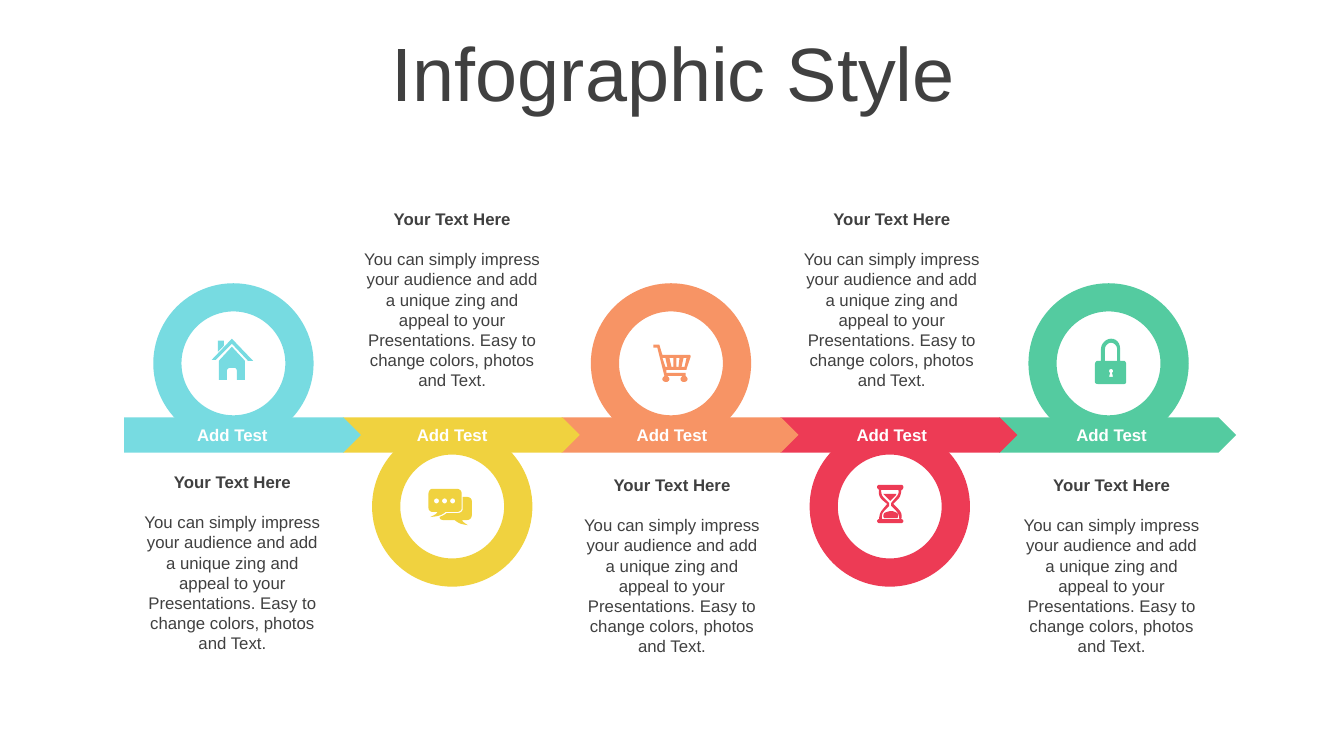
from math import cos, pi, sin

from pptx import Presentation
from pptx.dml.color import RGBColor
from pptx.enum.shapes import MSO_SHAPE
from pptx.enum.text import MSO_ANCHOR, MSO_AUTO_SIZE, PP_ALIGN
from pptx.util import Pt

PLATE, DONUT = MSO_SHAPE.PENTAGON, MSO_SHAPE.DONUT
MIDDLE, CENTER = MSO_ANCHOR.MIDDLE, PP_ALIGN.CENTER
GROW = MSO_AUTO_SIZE.SHAPE_TO_FIT_TEXT

PX = 9144
FONT = "Arial"
DARK = RGBColor(0x40, 0x40, 0x40)
WHITE = RGBColor(0xFF, 0xFF, 0xFF)
TEAL = RGBColor(0x77, 0xDB, 0xE1)
YELLOW = RGBColor(0xF0, 0xD2, 0x3F)
ORANGE = RGBColor(0xF7, 0x94, 0x65)
RED = RGBColor(0xED, 0x3B, 0x55)
GREEN = RGBColor(0x54, 0xCB, 0xA0)

HEAD = "Your Text Here"
BODY = ("You can simply impress your audience and add a unique zing and appeal to your "
        "Presentations. Easy to change colors, photos and Text.")


def ring(x, y, r):
    """Return the points of a circle."""
    return [(x + r * cos(k * pi / 8), y + r * sin(k * pi / 8)) for k in range(16)]


def trace(outline):
    """Turn (x, y) lines and six-number curves into points in EMU."""
    points = []
    for part in outline:
        if len(part) == 2:
            points.append(part)
            continue
        x0, y0 = points[-1]
        x1, y1, x2, y2, x3, y3 = part
        for k in range(1, 7):
            t = k / 6
            a, b, c, d = (1 - t) ** 3, 3 * t * (1 - t) ** 2, 3 * t * t * (1 - t), t ** 3
            points.append((a * x0 + b * x1 + c * x2 + d * x3, a * y0 + b * y1 + c * y2 + d * y3))
    return [(x * PX, y * PX) for x, y in points]


HOUSE = [
    [(230, 344), (243, 358), (243, 377), (235, 377), (235, 368), (235, 367, 234, 365, 233, 365),
     (228, 365), (226, 365, 225, 367, 225, 368), (225, 377), (217, 377), (217, 358)],
    [(216, 338), (222, 338), (222, 343), (216, 349)],
    [(230, 336), (251, 358), (246, 358), (230, 341), (214, 357), (210, 357)],
]
CHAT = [ring(x, 497, 2.5) for x in (433, 441, 449)] + [
    [(459, 493), (463, 493), (466, 493, 468, 495, 468, 497), (468, 511),
     (468, 514, 466, 516, 463, 516), (458, 516), (459, 517, 459, 518, 464, 521),
     (456, 520, 455, 519, 451, 516), (440, 516), (438, 516, 436, 515, 436, 513),
     (438, 512, 441, 511, 443, 509), (454, 509), (457, 509, 459, 507, 459, 505)],
    [(429, 485), (453, 485), (456, 485, 458, 487, 458, 490), (458, 504),
     (458, 506, 456, 508, 453, 508), (442, 508), (437, 512, 435, 512, 427, 513),
     (432, 510, 432, 511, 434, 508), (429, 508), (427, 508, 425, 506, 425, 504),
     (425, 490), (425, 487, 427, 485, 429, 485)],
]
CART = [
    [(678, 355), (676, 364), (679, 364), (681, 355)],
    [(671, 355), (671, 364), (673, 364), (674, 355)],
    [(664, 355), (666, 364), (668, 364), (668, 355)],
    [(657, 355), (660, 364), (662, 364), (660, 355)],
    [(654, 342), (657, 352), (683, 352), (685, 352, 685, 353, 685, 354), (681, 366),
     (681, 367, 681, 367, 680, 367), (661, 367), (661, 370), (680, 370), (680, 373),
     (681, 374, 682, 375, 682, 376), (682, 378, 680, 379, 678, 379),
     (677, 379, 675, 378, 675, 376), (675, 375, 676, 374, 677, 373), (662, 373),
     (663, 374, 664, 375, 664, 376), (664, 378, 662, 379, 661, 379),
     (659, 379, 657, 378, 657, 376), (657, 375, 658, 374, 659, 373), (652, 345),
     (648, 345), (648, 342)],
]
GLASS = [
    [(884, 507), (886, 507, 888, 508, 890, 509), (891, 511, 891, 513, 890, 514), (877, 514),
     (876, 513, 876, 511, 877, 509), (879, 508, 882, 507, 884, 507)],
    [(876, 490), (889, 490), (889, 490, 889, 491, 888, 492), (883, 497), (878, 492)],
    [(874, 486), (874, 488, 874, 492, 877, 494), (882, 499), (882, 502), (877, 507),
     (875, 509, 874, 512, 875, 515), (892, 515), (892, 512, 891, 509, 889, 507), (884, 502),
     (884, 499), (889, 493), (891, 491, 892, 488, 891, 486)],
    [(872, 481), (894, 481), (895, 481, 896, 482, 896, 483), (896, 485, 895, 486, 894, 486),
     (894, 489, 893, 493, 891, 495), (886, 500), (891, 505), (894, 508, 895, 511, 894, 515),
     (895, 515, 896, 516, 896, 517), (896, 518, 895, 519, 894, 519), (872, 519),
     (871, 519, 870, 518, 870, 517), (870, 516, 871, 515, 872, 515),
     (872, 512, 873, 508, 875, 506), (880, 500), (875, 496), (872, 493, 871, 489, 872, 486),
     (871, 485, 870, 485, 870, 483), (870, 482, 871, 481, 872, 481)],
]
LOCK = [
    [(1102, 366), (1101, 366, 1100, 367, 1100, 368), (1100, 369, 1100, 369, 1101, 370),
     (1100, 374), (1104, 374), (1103, 370), (1104, 369, 1104, 369, 1104, 368),
     (1104, 367, 1103, 366, 1102, 366)],
    [(1102, 340), (1099, 340, 1096, 343, 1096, 346), (1096, 358), (1108, 358), (1108, 346),
     (1108, 343, 1105, 340, 1102, 340)],
    [(1102, 336), (1107, 336, 1111, 340, 1111, 346), (1111, 358), (1115, 358),
     (1116, 358, 1117, 360, 1117, 361), (1117, 379), (1117, 380, 1116, 381, 1115, 381),
     (1089, 381), (1087, 381, 1086, 380, 1086, 379), (1086, 361),
     (1086, 360, 1087, 358, 1089, 358), (1092, 358), (1092, 346),
     (1092, 341, 1097, 336, 1102, 336)],
]

STEPS = [(TEAL, HOUSE, 463), (YELLOW, CHAT, 202), (ORANGE, CART, 466),
         (RED, GLASS, 202), (GREEN, LOCK, 466)]


class Board:
    """Draws styled elements on the current slide."""

    def __init__(self, slide):
        self.shapes = slide.shapes

    def paint(self, shape, color):
        shape.shadow.inherit = False
        shape.fill.solid()
        shape.fill.fore_color.rgb = color
        shape.line.fill.background()

    def shape(self, kind, x, y, w, h, color):
        shape = self.shapes.add_shape(kind, x * PX, y * PX, w * PX, h * PX)
        self.paint(shape, color)
        return shape

    def icon(self, outlines, color):
        first, *rest = [trace(outline) for outline in outlines]
        pen = self.shapes.build_freeform(*first[0])
        pen.add_line_segments(first[1:])
        for points in rest:
            pen.move_to(*points[0])
            pen.add_line_segments(points[1:])
        self.paint(pen.convert_to_shape(), color)

    def text(self, words, x, y, w, h, color=DARK, size=12, bold=False):
        frame = self.shapes.add_textbox(x * PX, y * PX, w * PX, h * PX).text_frame
        frame.word_wrap = True
        frame.text = words
        line = frame.paragraphs[0]
        line.alignment = CENTER
        font = line.runs[0].font
        font.name, font.size, font.bold = FONT, Pt(size), bold
        font.color.rgb = color
        return frame

    def title(self, words):
        frame = self.text(words, 35, 37, 1266, 79, size=54)
        frame.vertical_anchor = MIDDLE
        frame.paragraphs[0].line_spacing = 0.9

    def label(self, *args, **style):
        self.text(*args, **style).auto_size = GROW


def main():
    deck = Presentation()
    deck.slide_width, deck.slide_height = 1333 * PX, 750 * PX
    board = Board(deck.slides.add_slide(deck.slide_layouts[6]))
    board.title("Infographic Style")
    for i, (color, icon, top) in reversed(list(enumerate(STEPS))):
        left = 123 + 217 * i
        board.shape(PLATE, left, 414, 235, 35, color)
        donut = board.shape(DONUT, left + 29, 423 if i % 2 else 281, 159, 159, color)
        donut.adjustments[0] = 0.176
        board.icon(icon, color)
    for i, (color, icon, top) in enumerate(STEPS):
        shift = 218 * i
        board.label("Add Test", 170 + shift, 416, 121, 30, color=WHITE, bold=True)
        board.label(HEAD, 133 + shift, top, 195, 30, bold=True)
        board.label(BODY, 133 + shift, top + 40, 195, 151)
    deck.save("out.pptx")


if __name__ == "__main__":
    main()
